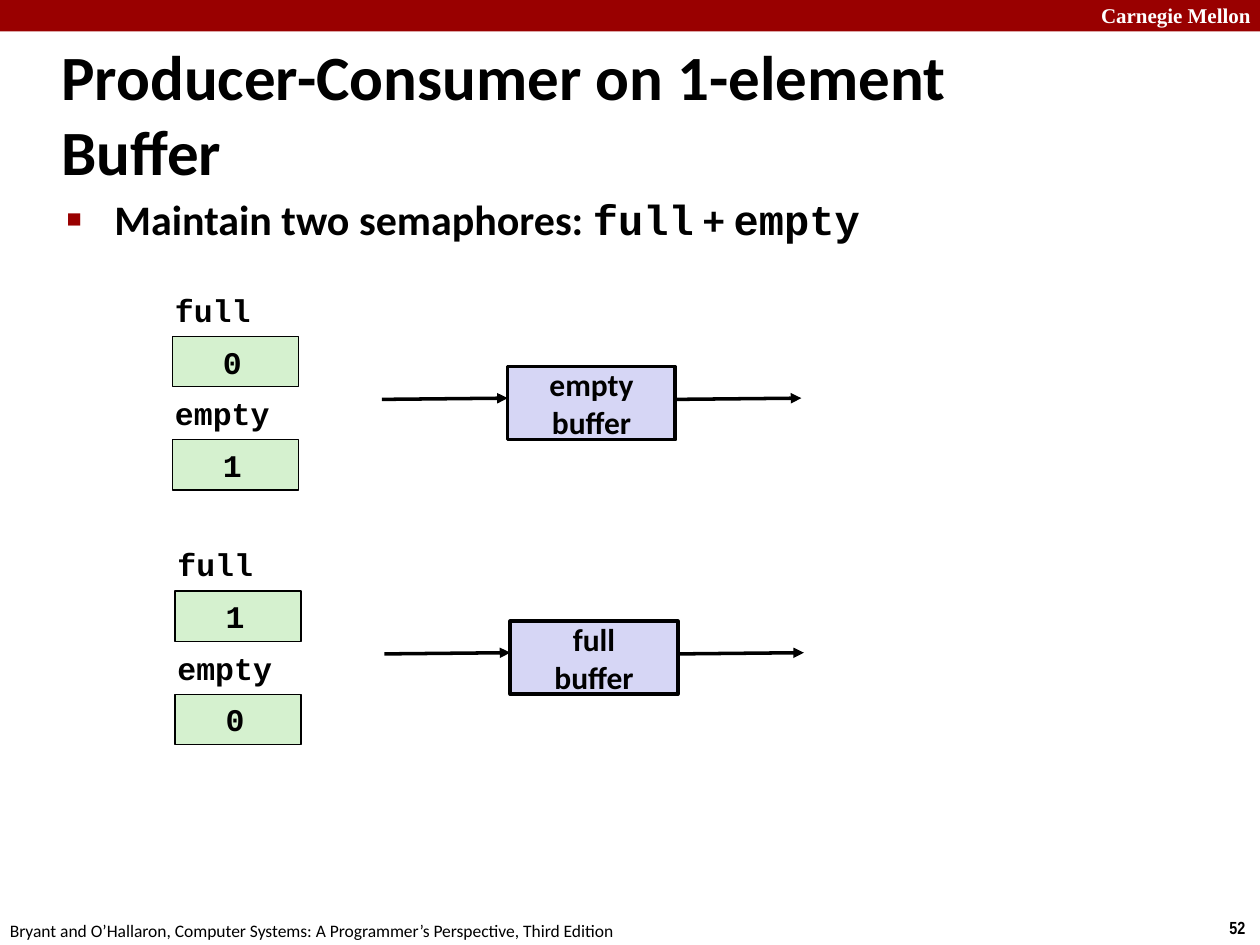
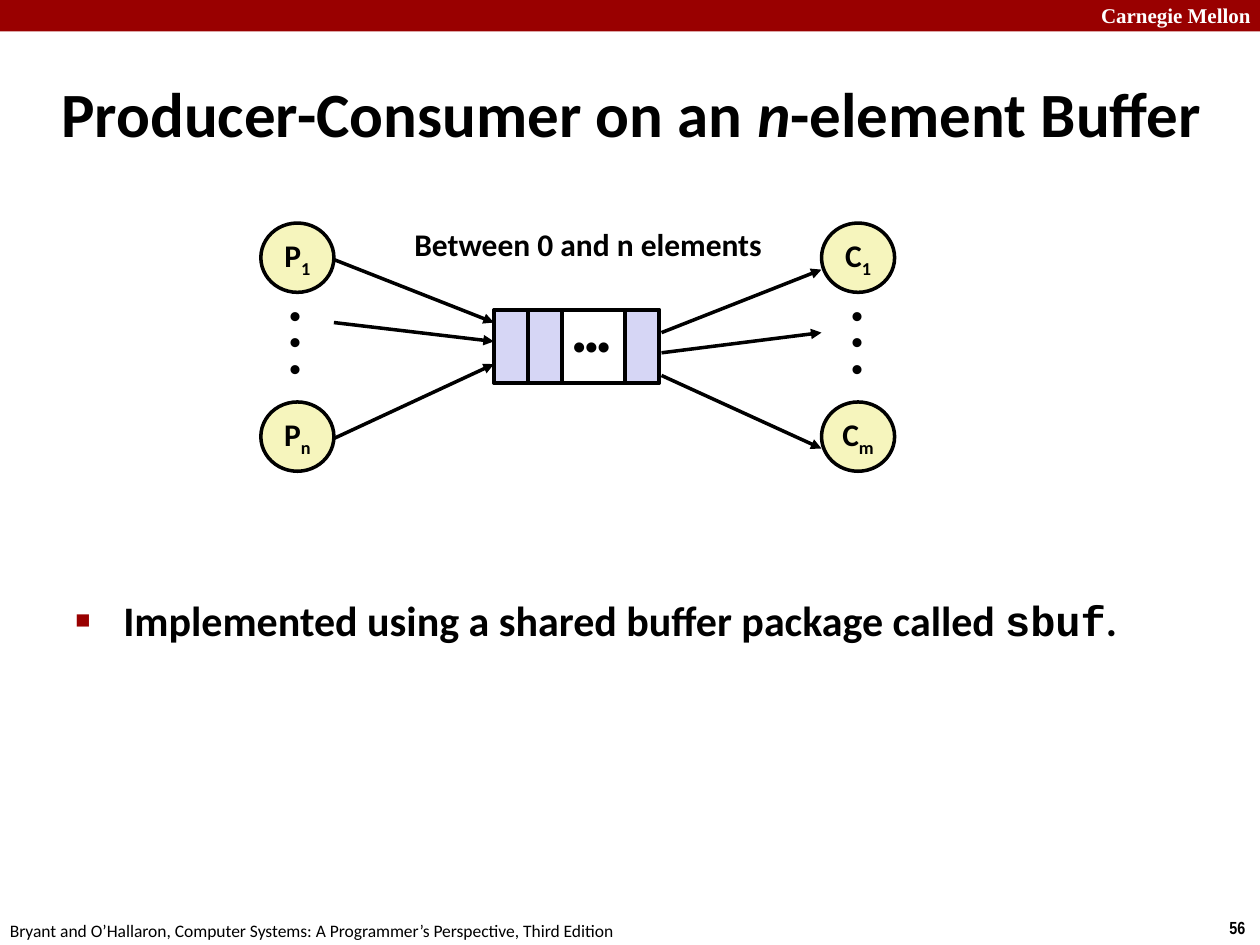
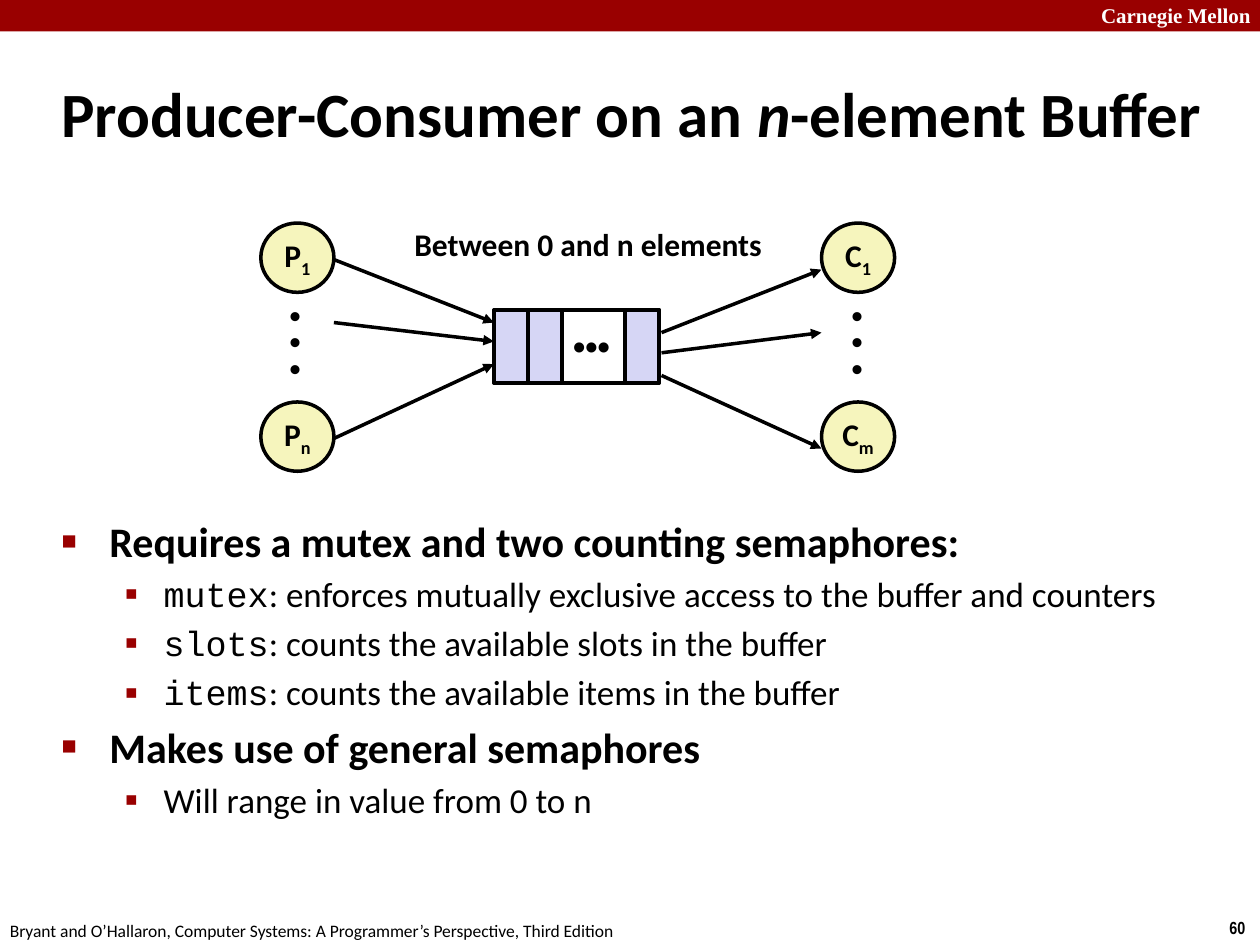
"""Build three slides on producer-consumer buffers."""
from lxml import etree
from pptx import Presentation
from pptx.dml.color import RGBColor
from pptx.enum import shapes, text
from pptx.oxml import ns
from pptx.util import Inches, Pt

COLORS = {"band": "990000", "ink": "000000", "paper": "FFFFFF",
          "buffer": "D6D6F5", "semaphore": "D5F1CF", "thread": "F6F5BD"}
SANS, MONO, DOT_FONT = "Calibri", "Courier New", "Arial"
FOOTER = ("Bryant and O’Hallaron, Computer Systems: "
          "A Programmer’s Perspective, Third Edition")


def code(word):
    return word, {"font": MONO}


N_TITLE = ["Producer-Consumer on an ", ("n", {"italic": True}), "-element Buffer"]
SLIDES = [
    {"number": "52", "title": ["Producer-Consumer on 1-element Buffer"],
     "title_width": 8.3, "body_at": (0.43, 1.49, 8.64, 5.44),
     "body": [(0, ["Maintain two semaphores: ", code("full"), " + ", code("empty")])],
     "states": [(1.29, 2.26, "empty", {"full": "0", "empty": "1"}),
                (1.31, 4.28, "full", {"full": "1", "empty": "0"})]},
    {"number": "56", "title": N_TITLE, "title_width": 9.36,
     "body_at": (0.5, 4.67, 8.98, 1.18),
     "body": [(0, ["Implemented using a shared buffer package called ",
                   code("sbuf"), "."])]},
    {"number": "60", "title": N_TITLE, "title_width": 9.36,
     "body_at": (0.39, 4.04, 8.98, 1.93),
     "body": [(0, ["Requires a mutex and two counting semaphores:"]),
              (1, [code("mutex"),
                   ": enforces mutually exclusive access to the buffer and counters"]),
              (1, [code("slots"), ": counts the available slots in the buffer"]),
              (1, [code("items"), ": counts the available items in the buffer"]),
              (0, ["Makes use of general semaphores"]),
              (1, ["Will range in value from 0 to n"])]},
]
LEVELS = [
    {"size": 24, "bold": True, "margin": 0.38, "indent": -0.38, "char": "■", "pct": 60},
    {"size": 20, "bold": False, "margin": 0.81, "indent": -0.31, "char": "▪", "pct": 110},
]
THREADS = [(2.07, 2.2, "P", "1n"), (6.52, 6.66, "C", "1m")]
ARROWS_IN = [(2.06, 2.56), (2.56, 2.71), (3.48, 2.89)]
ARROWS_OUT = [(2.64, 2.14), (2.8, 2.64), (2.98, 3.56)]


def rgb(name):
    return RGBColor.from_string(COLORS[name])


def fill_paragraph(p, runs, size=18, font=SANS, color="ink", bold=True,
                   align=None, spacing=None):
    p.alignment = align
    p.line_spacing = spacing
    for run in runs:
        words, own = (run, {}) if isinstance(run, str) else run
        r = p.add_run()
        r.text = words
        f = r.font
        f.size, f.bold, f.italic = Pt(size), bold, own.get("italic")
        f.name = own.get("font", font)
        f.color.rgb = rgb(color)
        if own.get("sub"):
            r._r.get_or_add_rPr().set("baseline", "-25000")


def write(sp, lines, anchor=text.MSO_ANCHOR.TOP, wrap=True, grow=False,
          insets=(0.1, 0.05, 0.1, 0.05), **fmt):
    tf = sp.text_frame
    tf.word_wrap, tf.vertical_anchor = wrap, anchor
    if grow:
        tf.auto_size = text.MSO_AUTO_SIZE.SHAPE_TO_FIT_TEXT
    (tf.margin_left, tf.margin_top,
     tf.margin_right, tf.margin_bottom) = map(Inches, insets)
    for i, runs in enumerate(lines):
        p = tf.add_paragraph() if i else tf.paragraphs[0]
        fill_paragraph(p, runs, **fmt)


def add_text(s, at, lines, **fmt):
    sp = s.shapes.add_textbox(*map(Inches, at))
    write(sp, lines, **fmt)
    return sp


def add_label(s, at, lines, **fmt):
    return add_text(s, at, lines, wrap=False, grow=True, **fmt)


def add_box(s, at, fill=None, line=2, kind=shapes.MSO_SHAPE.RECTANGLE):
    sp = s.shapes.add_shape(kind, *map(Inches, at))
    sp.shadow.inherit = False
    if fill:
        sp.fill.solid()
        sp.fill.fore_color.rgb = rgb(fill)
    else:
        sp.fill.background()
    if line:
        sp.line.color.rgb = rgb("ink")
        sp.line.width = Pt(line)
    else:
        sp.line.fill.background()
    return sp


def write_centred(sp, lines):
    write(sp, lines, anchor=text.MSO_ANCHOR.MIDDLE, wrap=False,
          insets=(0.1, 0, 0.1, 0), align=text.PP_ALIGN.CENTER)


def add_arrow(s, x1, y1, x2, y2):
    c = s.shapes.add_connector(shapes.MSO_CONNECTOR.STRAIGHT,
                               *map(Inches, (x1, y1, x2, y2)))
    c.line.color.rgb = rgb("ink")
    c.line.width = Pt(2)
    etree.SubElement(c.line._get_or_add_ln(), ns.qn("a:tailEnd"), type="triangle")
    etree.SubElement(c._element.spPr, ns.qn("a:effectLst"))


def add_bullet(p, level):
    pPr = p._p.get_or_add_pPr()
    pPr.set("marL", str(Inches(level["margin"])))
    pPr.set("indent", str(Inches(level["indent"])))
    clr = etree.SubElement(pPr, ns.qn("a:buClr"))
    etree.SubElement(clr, ns.qn("a:srgbClr"), val=COLORS["band"])
    etree.SubElement(pPr, ns.qn("a:buSzPct"), val=str(level["pct"] * 1000))
    etree.SubElement(pPr, ns.qn("a:buFont"), typeface=DOT_FONT)
    etree.SubElement(pPr, ns.qn("a:buChar"), char=level["char"])


def add_body(s, at, items):
    tf = s.shapes.add_textbox(*map(Inches, at)).text_frame
    tf.word_wrap = True
    for i, (depth, runs) in enumerate(items):
        level = LEVELS[depth]
        p = tf.add_paragraph() if i else tf.paragraphs[0]
        p.level = depth
        if i:
            p.space_before = Pt(level["size"] * 0.2)
        add_bullet(p, level)
        fill_paragraph(p, runs, size=level["size"], bold=level["bold"])


def add_frame(s, number, title, title_width):
    add_box(s, (0, 0, 10, 0.25), fill="band", line=None)
    add_text(s, (8.64, -0.03, 1.43, 0.3), [["Carnegie Mellon"]], size=12,
             font="Times New Roman", color="paper")
    add_label(s, (9.66, 7.23, 0.34, 0.27), [[number]], size=10, font="Arial Narrow")
    add_label(s, (-0.02, 7.25, 5.08, 0.27), [[FOOTER]], size=10, bold=False)
    add_text(s, (0.39, 0.48, title_width, 0.83), [title], size=36,
             anchor=text.MSO_ANCHOR.MIDDLE)


def draw_state(s, x, y, state, semaphores):
    box_x, box_y, box_w = x + 2.74, y + 0.65, 1.33
    write_centred(add_box(s, (box_x, box_y, box_w, 0.58), "buffer"),
                  [[state], ["buffer"]])
    for start in (box_x - 1, box_x + box_w):
        add_arrow(s, start, y + 0.91, start + 1, y + 0.9)
    for i, (name, value) in enumerate(semaphores.items()):
        top = y + 0.82 * i
        sp = add_box(s, (x + 0.08, top + 0.41, 1, 0.4), "semaphore", line=0.75)
        write(sp, [[value]], font=MONO, insets=(0.4, 0.05, 0.1, 0.05),
              align=text.PP_ALIGN.LEFT)
        add_label(s, (x, top, 0.2 + 0.15 * len(name), 0.4), [[name]], font=MONO)


def draw_n_buffer(s):
    left, top, width, height, slot = 3.92, 2.46, 1.31, 0.58, 0.27
    for x, dots_x, letter, subs in THREADS:
        for y, sub in zip((1.77, 3.19), subs):
            sp = add_box(s, (x, y, 0.58, 0.55), "thread", kind=shapes.MSO_SHAPE.OVAL)
            write_centred(sp, [[letter, (sub, {"sub": True})]])
        add_label(s, (dots_x, 2.38, 0.32, 0.75), [["•"]] * 3, font=DOT_FONT,
                  spacing=0.7)
    for x1, x2, ends in ((2.65, left, ARROWS_IN), (5.25, 6.52, ARROWS_OUT)):
        for y1, y2 in ends:
            add_arrow(s, x1, y1, x2, y2)
    for x in (left, left + slot, left + width - slot):
        add_box(s, (x, top, slot, height), "buffer")
    add_text(s, (4.19, 2.62, 1.01, 0.35), [["•••"]], size=20, font=DOT_FONT,
             align=text.PP_ALIGN.CENTER, spacing=0.7)
    add_box(s, (left, top, width, height))
    add_label(s, (3.19, 1.74, 3, 0.4), [["Between 0 and n elements"]])


def main():
    prs = Presentation()
    prs.slide_width, prs.slide_height = Inches(10), Inches(7.5)
    for content in SLIDES:
        s = prs.slides.add_slide(prs.slide_layouts[6])
        add_frame(s, content["number"], content["title"], content["title_width"])
        add_body(s, content["body_at"], content["body"])
        if "states" in content:
            for state in content["states"]:
                draw_state(s, *state)
        else:
            draw_n_buffer(s)
    prs.save("out.pptx")


if __name__ == "__main__":
    main()
